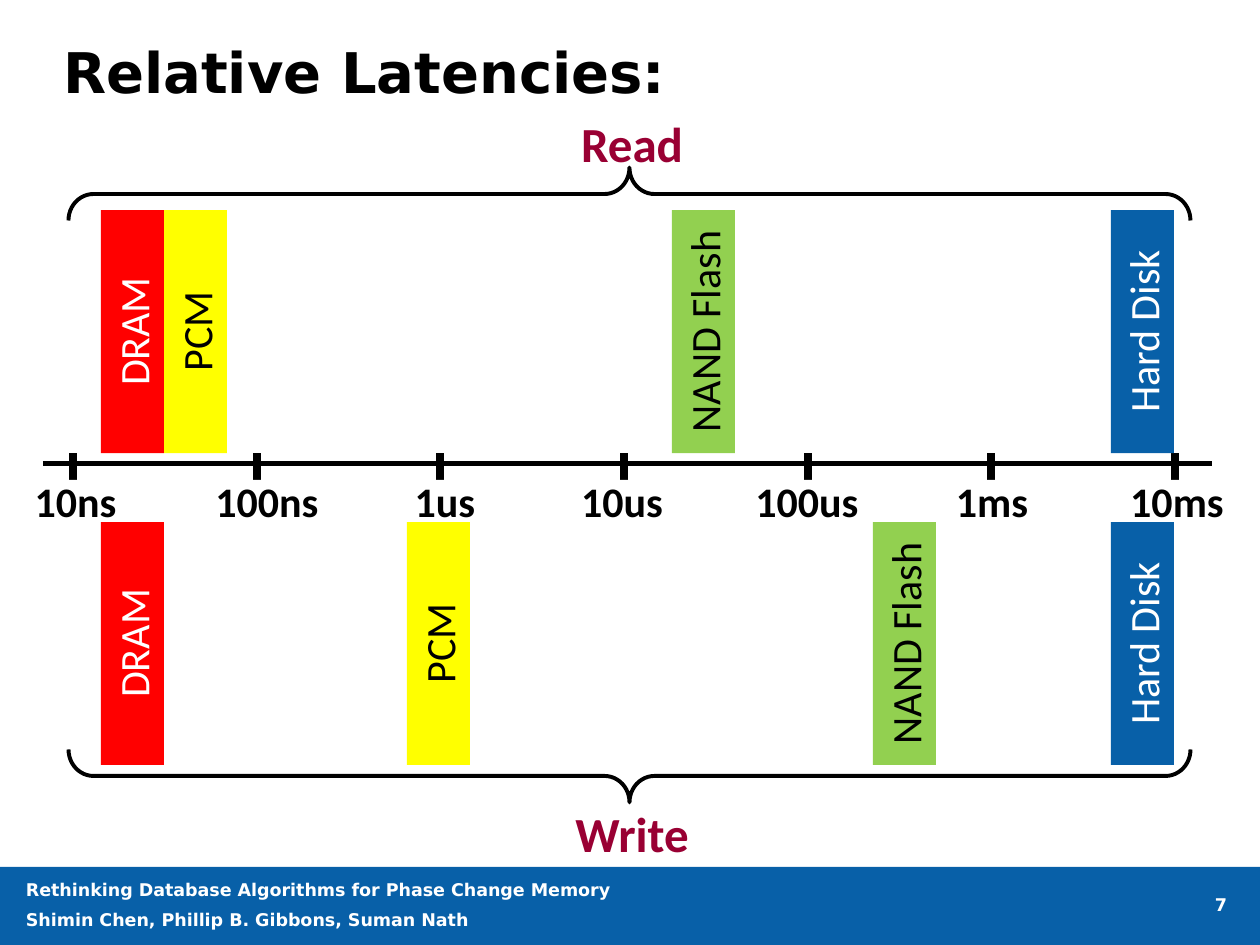
from dataclasses import dataclass

from lxml import etree
from pptx import Presentation
from pptx.dml.color import RGBColor
from pptx.enum.shapes import MSO_CONNECTOR, MSO_SHAPE
from pptx.enum.text import MSO_ANCHOR, MSO_AUTO_SIZE, PP_ALIGN
from pptx.oxml.ns import qn
from pptx.shapes.autoshape import Shape
from pptx.slide import Slide
from pptx.text.text import TextFrame
from pptx.util import Emu, Pt

RECTANGLE = MSO_SHAPE.RECTANGLE
RIGHT_BRACE = MSO_SHAPE.RIGHT_BRACE
STRAIGHT = MSO_CONNECTOR.STRAIGHT
TOP, MIDDLE = MSO_ANCHOR.TOP, MSO_ANCHOR.MIDDLE
LEFT, CENTER, RIGHT = PP_ALIGN.LEFT, PP_ALIGN.CENTER, PP_ALIGN.RIGHT
NO_AUTO_SIZE = MSO_AUTO_SIZE.NONE
EMU_PER_INCH = 914400
PX_PER_INCH = 126
TITLE_ONLY_LAYOUT = 5


@dataclass(frozen=True)
class Theme:
    black: str = "000000"
    white: str = "FFFFFF"
    blue: str = "0860A8"
    red: str = "FF0000"
    yellow: str = "FFFF00"
    green: str = "92D050"
    maroon: str = "990033"
    heading_font: str = "DejaVu Sans"
    diagram_font: str = "Calibri"
    title_size: int = 32
    caption_size: int = 28
    label_size: int = 24
    footer_size: int = 10


THEME = Theme()


@dataclass(frozen=True)
class Box:
    left: int
    top: int
    width: int
    height: int

    def emu(self) -> tuple[Emu, Emu, Emu, Emu]:
        return px(self.left), px(self.top), px(self.width), px(self.height)


@dataclass(frozen=True)
class TextStyle:
    font: str
    size: int
    color: str
    bold: bool = True
    alignment: PP_ALIGN = CENTER


@dataclass(frozen=True)
class Device:
    name: str
    fill: str
    text_color: str
    read_left: int
    write_left: int


@dataclass(frozen=True)
class Tick:
    label: str
    label_center: int
    label_width: int = 200


@dataclass(frozen=True)
class Operation:
    name: str
    caption_top: int
    brace_center: int
    brace_rotation: int


TITLE_STYLE = TextStyle(THEME.heading_font, THEME.title_size, THEME.black, alignment=LEFT)
FOOTER_STYLE = TextStyle(THEME.heading_font, THEME.footer_size, THEME.white, alignment=LEFT)
NUMBER_STYLE = TextStyle(THEME.heading_font, THEME.footer_size, THEME.white, alignment=RIGHT)
TICK_STYLE = TextStyle(THEME.diagram_font, THEME.label_size, THEME.black)
CAPTION_STYLE = TextStyle(THEME.diagram_font, THEME.caption_size, THEME.maroon)

DEVICES = [
    Device("NAND Flash", THEME.green, THEME.black, 672, 873),
    Device("PCM", THEME.yellow, THEME.black, 164, 407),
    Device("DRAM", THEME.red, THEME.white, 101, 101),
    Device("Hard Disk", THEME.blue, THEME.white, 1111, 1111),
]
TICKS = [
    Tick("10ns", 75, 155),
    Tick("100ns", 267),
    Tick("1us", 445),
    Tick("10us", 622),
    Tick("100us", 807),
    Tick("1ms", 992),
    Tick("10ms", 1177),
]
OPERATIONS = [
    Operation("Read", 107, 194, 270),
    Operation("Write", 797, 776, 90),
]
READ_TOP, WRITE_TOP = 210, 522
BAR_LENGTH, BAR_THICKNESS = 243, 63
AXIS_Y = 463.5
TICK_START, TICK_END = 73, 1175
SLIDE_CENTER = 630


def px(value: float) -> Emu:
    return Emu(round(value * EMU_PER_INCH / PX_PER_INCH))


def format_text(frame: TextFrame, text: str, style: TextStyle) -> None:
    frame.text = text
    frame.word_wrap = True
    for paragraph in frame.paragraphs:
        paragraph.alignment = style.alignment
        for run in paragraph.runs:
            run.font.name = style.font
            run.font.size = Pt(style.size)
            run.font.bold = style.bold
            run.font.color.rgb = RGBColor.from_string(style.color)


def clear_margins(frame: TextFrame) -> None:
    frame.margin_left = frame.margin_right = 0
    frame.margin_top = frame.margin_bottom = 0


def add_text(slide: Slide, box: Box, text: str, style: TextStyle) -> TextFrame:
    frame = slide.shapes.add_textbox(*box.emu()).text_frame
    format_text(frame, text, style)
    frame.vertical_anchor = TOP
    return frame


def add_filled(slide: Slide, box: Box, fill: str) -> Shape:
    shape = slide.shapes.add_shape(RECTANGLE, *box.emu())
    shape.shadow.inherit = False
    shape.fill.solid()
    shape.fill.fore_color.rgb = RGBColor.from_string(fill)
    shape.line.fill.background()
    return shape


def add_outlined(slide: Slide, kind: MSO_SHAPE, box: Box, width: float) -> Shape:
    shape = slide.shapes.add_shape(kind, *box.emu())
    shape.shadow.inherit = False
    shape.fill.background()
    shape.line.color.rgb = RGBColor.from_string(THEME.black)
    shape.line.width = Pt(width)
    return shape


def add_bar(slide: Slide, device: Device, left: int, top: int) -> None:
    offset = (BAR_LENGTH - BAR_THICKNESS) // 2
    box = Box(left - offset, top + offset, BAR_LENGTH, BAR_THICKNESS)
    bar = add_filled(slide, box, device.fill)
    bar.rotation = 270
    style = TextStyle(THEME.diagram_font, THEME.label_size, device.text_color, bold=False)
    format_text(bar.text_frame, device.name, style)
    bar.text_frame.vertical_anchor = MIDDLE


def add_operation(slide: Slide, operation: Operation) -> None:
    depth, span = 53, 1122
    box = Box(SLIDE_CENTER - depth // 2 - 1, operation.brace_center - span // 2, depth, span)
    brace = add_outlined(slide, RIGHT_BRACE, box, 2.25)
    brace.adjustments[0] = 0.47
    brace.rotation = operation.brace_rotation
    add_text(slide, Box(497, operation.caption_top, 270, 72), operation.name, CAPTION_STYLE)


def add_axis(slide: Slide) -> None:
    line = slide.shapes.add_connector(STRAIGHT, px(43), px(AXIS_Y), px(1212), px(AXIS_Y))
    line.line.color.rgb = RGBColor.from_string(THEME.black)
    line.line.width = Pt(3)
    etree.SubElement(line._element.spPr, qn("a:effectLst"))
    intervals = len(TICKS) - 1
    step = (TICK_END - TICK_START) / intervals
    for index in range(intervals):
        left = round(TICK_START + index * step)
        right = round(TICK_START + (index + 1) * step)
        add_outlined(slide, RECTANGLE, Box(left, 437, right - left, 53), 4.5)
    add_filled(slide, Box(38, 416, 1222, 37), THEME.white)
    add_filled(slide, Box(43, 480, 1174, 16), THEME.white)
    for tick in TICKS:
        left = tick.label_center - tick.label_width // 2
        add_text(slide, Box(left, 469, tick.label_width, 63), tick.label, TICK_STYLE)


def add_title(slide: Slide, text: str) -> None:
    title = slide.shapes.title
    title.left, title.top, title.width, title.height = Box(63, 34, 1135, 82).emu()
    frame = title.text_frame
    format_text(frame, text, TITLE_STYLE)
    clear_margins(frame)
    frame.auto_size = NO_AUTO_SIZE
    frame.vertical_anchor = MIDDLE
    frame.paragraphs[0].line_spacing = 0.9


def add_footer(slide: Slide) -> None:
    add_filled(slide, Box(0, 867, 1260, 78), THEME.blue)
    credit = "Rethinking Database Algorithms for Phase Change Memory\nShimin Chen, Phillip B. Gibbons, Suman Nath"
    frame = add_text(slide, Box(26, 879, 822, 53), credit, FOOTER_STYLE)
    clear_margins(frame)
    frame.paragraphs[0].space_after = Pt(5)
    clear_margins(add_text(slide, Box(1170, 894, 57, 30), "7", NUMBER_STYLE))


def main() -> None:
    presentation = Presentation()
    presentation.slide_width, presentation.slide_height = px(1260), px(945)
    slide = presentation.slides.add_slide(presentation.slide_layouts[TITLE_ONLY_LAYOUT])
    add_footer(slide)
    add_title(slide, "Relative Latencies:")
    add_axis(slide)
    for device in DEVICES:
        add_bar(slide, device, device.read_left, READ_TOP)
        add_bar(slide, device, device.write_left, WRITE_TOP)
    for operation in OPERATIONS:
        add_operation(slide, operation)
    presentation.save("out.pptx")


if __name__ == "__main__":
    main()
